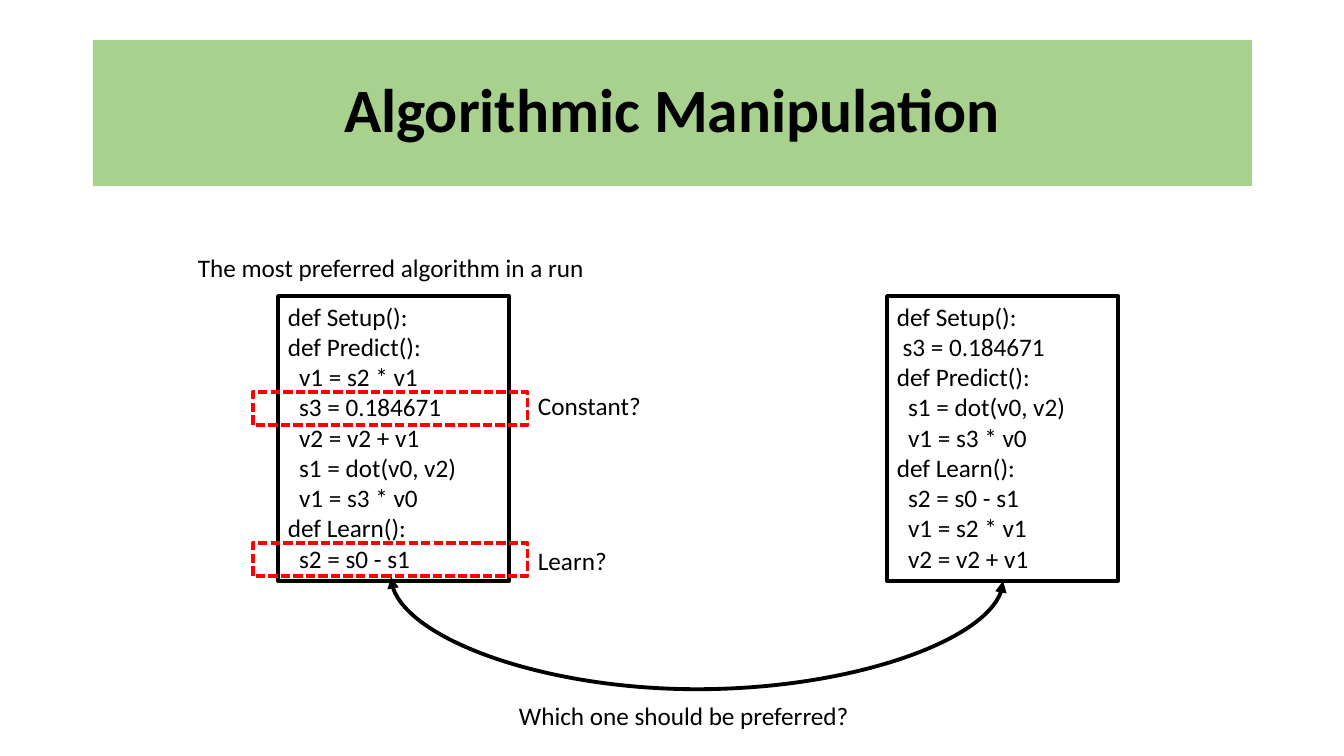
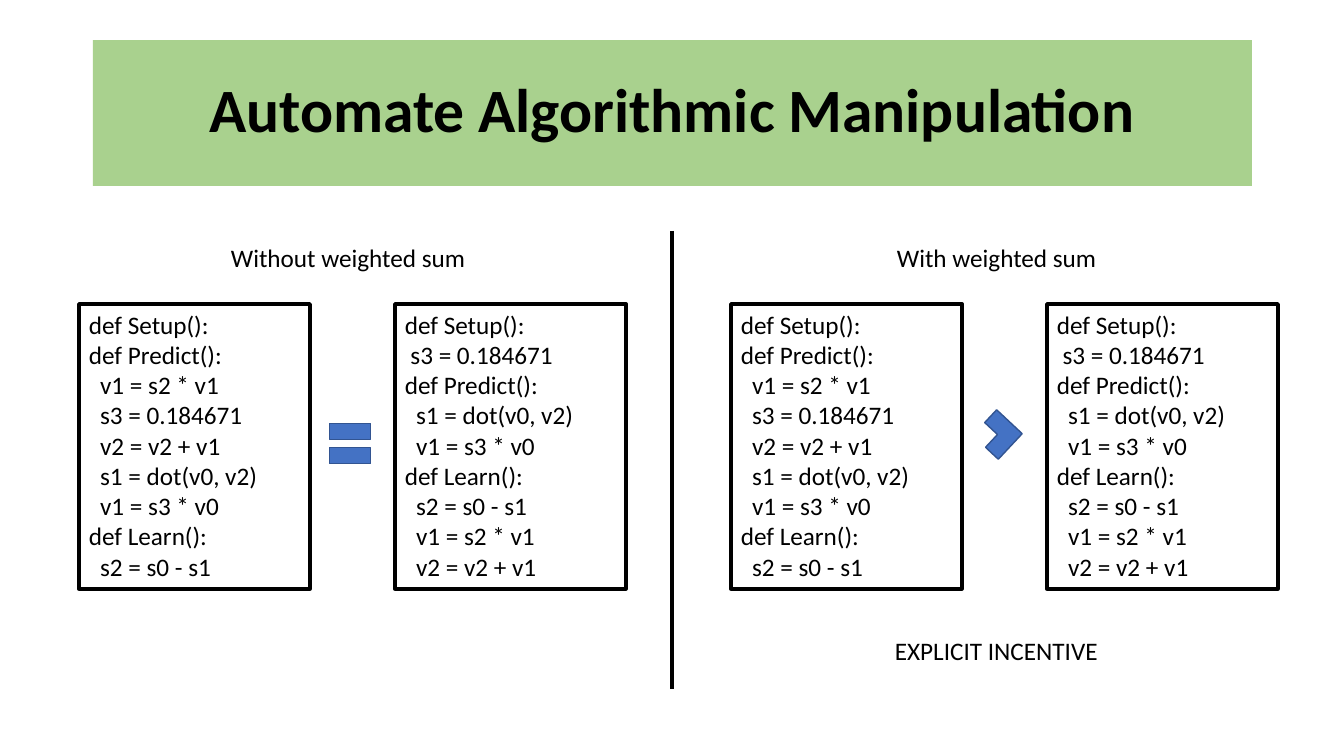
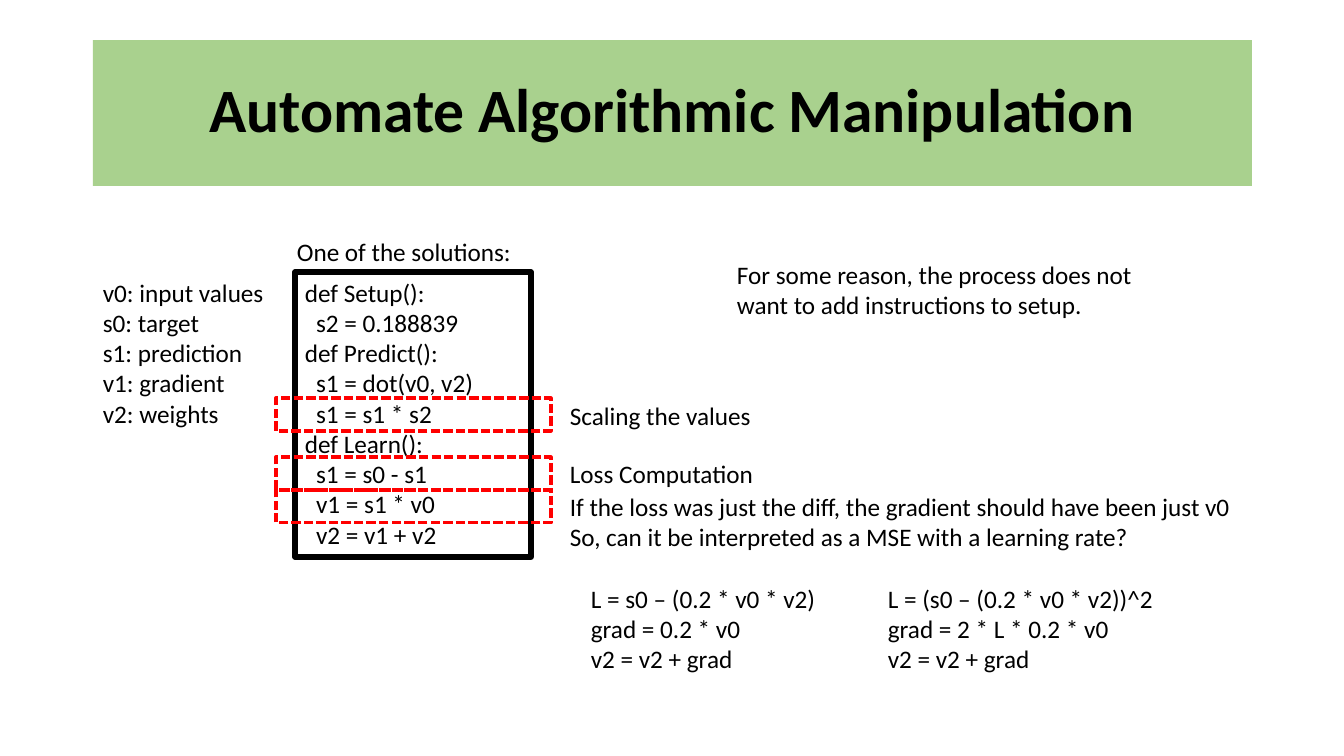
from lxml.etree import SubElement
from pptx import Presentation
from pptx.dml.color import RGBColor
from pptx.enum.dml import MSO_LINE
from pptx.enum.shapes import MSO_CONNECTOR as LINK, MSO_SHAPE as SHAPE
from pptx.enum.text import MSO_ANCHOR, MSO_AUTO_SIZE, PP_ALIGN
from pptx.oxml.ns import qn
from pptx.util import Pt

SCALE = 914400 / 100.8
FONT = "Calibri"
BLACK = RGBColor(0x00, 0x00, 0x00)
RED = RGBColor(0xFF, 0x00, 0x00)
GREEN = RGBColor(0xA9, 0xD1, 0x8E)
BLUE = RGBColor(0x44, 0x72, 0xC4)
DARK_BLUE = RGBColor(0x32, 0x54, 0x91)
SPACE_WIDTH = Pt(4)

PREFERRED = """def Setup():
def Predict():
  v1 = s2 * v1
  s3 = 0.184671
  v2 = v2 + v1
  s1 = dot(v0, v2)
  v1 = s3 * v0
def Learn():
  s2 = s0 - s1"""

REARRANGED = """def Setup():
 s3 = 0.184671
def Predict():
  s1 = dot(v0, v2)
  v1 = s3 * v0
def Learn():
  s2 = s0 - s1
  v1 = s2 * v1
  v2 = v2 + v1"""

SOLUTION = """def Setup():
  s2 = 0.188839
def Predict():
  s1 = dot(v0, v2)
  s1 = s1 * s2
def Learn():
  s1 = s0 - s1
  v1 = s1 * v0
  v2 = v1 + v2"""


def px(*lengths):
    """Turn pixels into EMU."""
    return [round(length * SCALE) for length in lengths]


def write_lines(frame, text, size=18, bold=False):
    """Write one paragraph per line; leading spaces become an indent."""
    for number, line in enumerate(text.split("\n")):
        para = frame.add_paragraph() if number else frame.paragraphs[0]
        para.text = line.lstrip()
        para.font.name = FONT
        para.font.size = Pt(size)
        para.font.bold = bold
        para.font.color.rgb = BLACK
        depth = len(line) - len(line.lstrip())
        if depth:
            para._p.get_or_add_pPr().set("marL", str(depth * SPACE_WIDTH))


def add_preset(page, kind, place, fill=None, line=None, weight=1.0):
    """Add a preset shape with an optional fill and outline."""
    shape = page.shapes.add_shape(kind, *px(*place))
    shape.shadow.inherit = False
    if fill is None:
        shape.fill.background()
    else:
        shape.fill.solid()
        shape.fill.fore_color.rgb = fill
    if line is None:
        shape.line.fill.background()
    else:
        shape.line.color.rgb = line
        shape.line.width = Pt(weight)
    return shape


def add_text(page, place, text, wrap=False):
    """Add a text box that grows with its lines."""
    box = page.shapes.add_textbox(*px(*place))
    box.text_frame.word_wrap = wrap
    box.text_frame.auto_size = MSO_AUTO_SIZE.SHAPE_TO_FIT_TEXT
    write_lines(box.text_frame, text)
    return box


def add_code(page, left, top, code, width=231, weight=2.5):
    """Add a code listing in a black frame."""
    box = add_text(page, (left, top, width, 285), code, wrap=True)
    box.line.color.rgb = BLACK
    box.line.width = Pt(weight)


def add_code_pair(page, left, top, step):
    """Add the preferred and the rearranged algorithm side by side."""
    add_code(page, left, top, PREFERRED)
    add_code(page, left + step, top, REARRANGED)


def add_marker(page, left, top):
    """Add a dashed red frame around one code line."""
    marker = add_preset(page, SHAPE.RECTANGLE, (left, top, 275, 33), line=RED, weight=2.25)
    marker.line.dash_style = MSO_LINE.SQUARE_DOT


def add_link(page, kind, ends, weight):
    """Add a black connector without a shadow."""
    link = page.shapes.add_connector(kind, *px(*ends))
    link.line.color.rgb = BLACK
    link.line.width = Pt(weight)
    SubElement(link._element.spPr, qn("a:effectLst"))
    return link


def add_arc(page, left, right, top, drop, depth):
    """Add a two-headed curve that hangs between two points."""
    middle_x, middle_y = (left + right) / 2, top + drop / 2
    half = (right - left) / 2
    # The connector stands upright here and is turned a quarter afterwards.
    ends = (middle_x + drop / 2, middle_y - half, middle_x - drop / 2, middle_y + half)
    arc = add_link(page, LINK.CURVE, ends, 2.75)
    arc._element.spPr.find(qn("a:xfrm")).set("rot", "16200000")
    guides = arc._element.spPr.find(qn("a:prstGeom")).find(qn("a:avLst"))
    SubElement(guides, qn("a:gd"), name="adj1", fmla=f"val {round(depth / drop * 100000)}")
    outline = arc.line._get_or_add_ln()
    for end in ("a:headEnd", "a:tailEnd"):
        SubElement(outline, qn(end), type="triangle")


def add_page(deck, title):
    """Add a blank slide with the green title band."""
    page = deck.slides.add_slide(deck.slide_layouts[6])
    band = add_preset(page, SHAPE.RECTANGLE, (93, 40, 1159, 146), fill=GREEN)
    frame = band.text_frame
    frame.word_wrap = True
    frame.vertical_anchor = MSO_ANCHOR.MIDDLE
    write_lines(frame, title, size=44, bold=True)
    frame.paragraphs[0].alignment = PP_ALIGN.CENTER
    frame.paragraphs[0].line_spacing = 0.9
    return page


def build_manipulation(deck):
    """Compare the preferred algorithm with its rearranged form."""
    page = add_page(deck, "Algorithmic Manipulation")
    add_code_pair(page, 278, 296, 609)
    add_text(page, (188, 247, 411, 40), "The most preferred algorithm in a run")
    for top in (392, 543):
        add_marker(page, 253, top)
    add_text(page, (528, 385, 124, 40), "Constant?")
    add_text(page, (528, 540, 90, 40), "Learn?")
    add_arc(page, left=391, right=1003, top=577, drop=4, depth=112)
    add_text(page, (509, 695, 355, 40), "Which one should be preferred?")


def build_weighted_sum(deck):
    """Compare both algorithms without and with the weighted sum."""
    page = add_page(deck, "Automate Algorithmic Manipulation")
    for left in (79, 731):
        add_code_pair(page, left, 304, 316)
    add_link(page, LINK.STRAIGHT, (672, 231, 672, 689), 3)
    add_preset(page, SHAPE.MATH_EQUAL, (322, 409, 56, 69), BLUE, DARK_BLUE)
    greater = add_preset(page, SHAPE.CORNER, (980, 417, 35, 35), BLUE, DARK_BLUE)
    greater.rotation = 223.1
    add_text(page, (221, 237, 257, 40), "Without weighted sum")
    add_text(page, (887, 237, 222, 40), "With weighted sum")
    add_text(page, (885, 630, 225, 40), "EXPLICIT INCENTIVE")


def build_solution(deck):
    """Explain one of the solutions line by line."""
    page = add_page(deck, "Automate Algorithmic Manipulation")
    add_code(page, 295, 272, SOLUTION, width=236, weight=3.75)
    add_text(page, (287, 231, 237, 40), "One of the solutions:")
    add_text(page, (727, 254, 420, 72),
             "For some reason, the process does not\nwant to add instructions to setup.")
    for top in (398, 457, 490):
        add_marker(page, 276, top)
    add_text(page, (560, 395, 204, 40), "Scaling the values")
    add_text(page, (560, 453, 206, 40), "Loss Computation")
    add_text(page, (560, 486, 689, 72),
             "If the loss was just the diff, the gradient should have been just v0\n"
             "So, can it be interpreted as a MSE with a learning rate?")
    add_text(page, (581, 578, 269, 102),
             "L = s0 – (0.2 * v0 * v2)\ngrad = 0.2 * v0\nv2 = v2 + grad", wrap=True)
    add_text(page, (878, 578, 342, 102),
             "L = (s0 – (0.2 * v0 * v2))^2\ngrad = 2 * L * 0.2 * v0\nv2 = v2 + grad", wrap=True)
    add_text(page, (93, 272, 194, 163),
             "v0: input values\ns0: target\ns1: prediction\nv1: gradient\nv2: weights", wrap=True)


def main():
    """Build and save the deck."""
    deck = Presentation()
    deck.slide_width, deck.slide_height = px(1344, 756)
    build_manipulation(deck)
    build_weighted_sum(deck)
    build_solution(deck)
    deck.save("out.pptx")


main()
